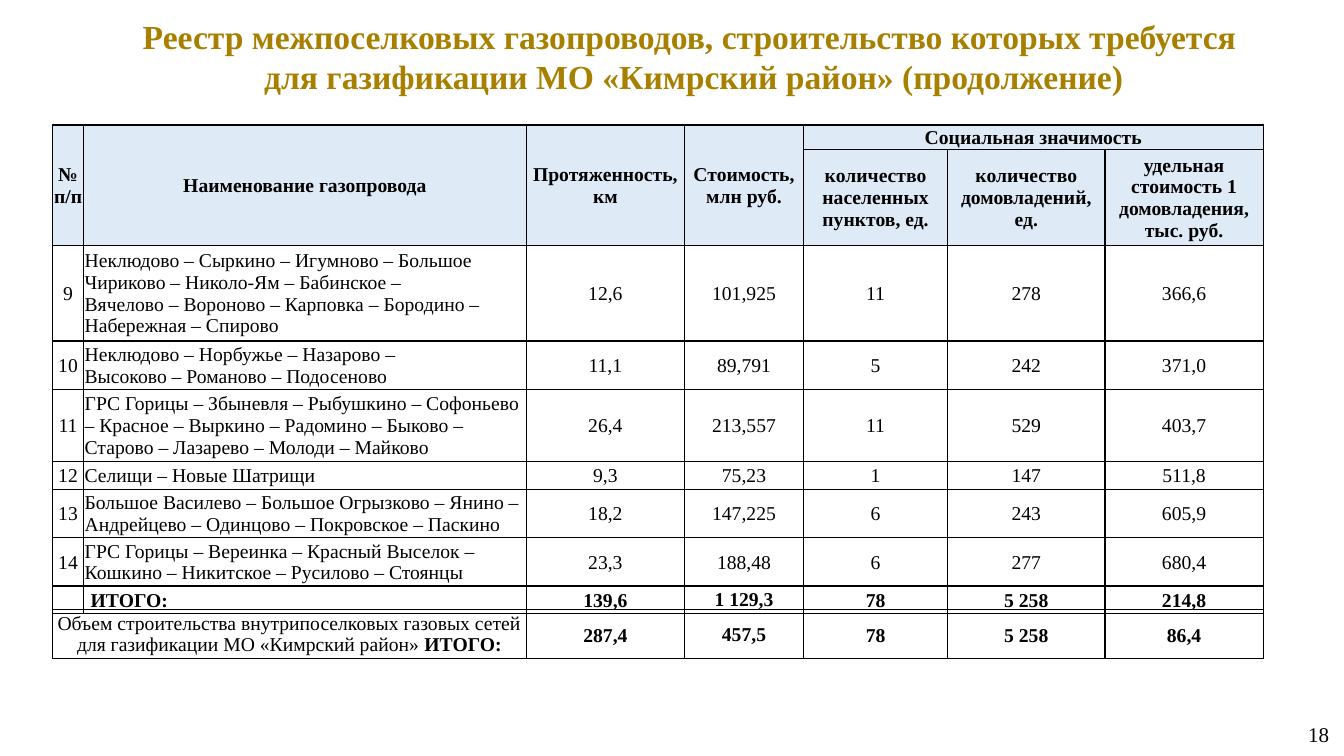
from lxml.etree import SubElement
from pptx import Presentation
from pptx.dml.color import RGBColor
from pptx.enum.text import MSO_ANCHOR, PP_ALIGN
from pptx.oxml.ns import qn
from pptx.util import Inches, Pt

FONT = "Times New Roman"
BLACK, GOLD, HEADER_BLUE = "000000", "A88000", "DEEBF7"
LEFT = 0.52
COLS = [0.31, 4.39, 1.57, 1.18, 1.43, 1.56, 1.57]
ROWS = [0.24, 0.95, 0.95, 0.48, 0.71, 0.28, 0.48, 0.48, 0.25]

HEADERS = [
    ["№\vп/п", "Наименование газопровода", "Протяженность, км",
     "Стоимость, млн руб.", "Социальная значимость", "", ""],
    ["", "", "", "", "количество населенных пунктов, ед.",
     "количество\nдомовладений, ед.",
     "удельная стоимость 1 домовладения, тыс. руб."],
]
PIPELINES = [
    ["9", "Неклюдово – Сыркино – Игумново – Большое Чириково – Николо-Ям – Бабинское –\v"
     "Вячелово – Вороново – Карповка – Бородино – Набережная – Спирово",
     "12,6", "101,925", "11", "278", "366,6"],
    ["10", "Неклюдово – Норбужье – Назарово –\vВысоково – Романово – Подосеново",
     "11,1", "89,791", "5", "242", "371,0"],
    ["11", "ГРС Горицы – Збыневля – Рыбушкино – Софоньево – Красное – Выркино – "
     "Радомино – Быково – Старово – Лазарево – Молоди – Майково",
     "26,4", "213,557", "11", "529", "403,7"],
    ["12", "Селищи – Новые Шатрищи", "9,3", "75,23", "1", "147", "511,8"],
    ["13", "Большое Василево – Большое Огрызково – Янино –"
     "Андрейцево – Одинцово – Покровское – Паскино",
     "18,2", "147,225", "6", "243", "605,9"],
    ["14", "ГРС Горицы – Вереинка – Красный Выселок – "
     "Кошкино – Никитское – Русилово – Стоянцы",
     "23,3", "188,48", "6", "277", "680,4"],
]
TOTAL = ["", "ИТОГО:", "139,6", "1 129,3", "78", "5 258", "214,8"]
NETWORK_LABEL = ("Объем строительства внутрипоселковых газовых сетей "
                 "для газификации МО «Кимрский район» ")
NETWORK_TOTAL = ["287,4", "457,5", "78", "5 258", "86,4"]


def rgb(color):
    return RGBColor.from_string(color)


def style_runs(p, size, color=BLACK, bold=False):
    for r in p.runs:
        r.font.name, r.font.size, r.font.bold = FONT, Pt(size), bold
        r.font.color.rgb = rgb(color)


def add_text(s, x, y, w, h, text, size, color, align, anchor, bold=False):
    tf = s.shapes.add_textbox(Inches(x), Inches(y), Inches(w), Inches(h)).text_frame
    tf.word_wrap = True
    tf.vertical_anchor = anchor
    tf.text = text
    for p in tf.paragraphs:
        p.alignment = align
        style_runs(p, size, color, bold)


def set_borders(cell):
    tcPr = cell._tc.get_or_add_tcPr()
    for i, side in enumerate(("a:lnL", "a:lnR", "a:lnT", "a:lnB")):
        ln = tcPr.makeelement(qn(side), {"w": str(Pt(1))})
        fill = SubElement(ln, qn("a:solidFill"))
        SubElement(fill, qn("a:srgbClr"), val=BLACK)
        tcPr.insert(i, ln)


def fill_cell(cell, text, align=PP_ALIGN.CENTER, bold=False, fill=None, loose=False):
    """Write one table cell; loose cells have wider sides and line spacing."""
    cell.text = text
    cell.vertical_anchor = MSO_ANCHOR.MIDDLE
    cell.margin_left = cell.margin_right = Inches(0.07 if loose else 0.01)
    cell.margin_top = Inches(0 if loose else 0.01)
    cell.margin_bottom = 0
    if fill:
        cell.fill.solid()
        cell.fill.fore_color.rgb = rgb(fill)
    else:
        cell.fill.background()
    for p in cell.text_frame.paragraphs:
        p.alignment = align
        if loose:
            p.line_spacing = 1.15
        style_runs(p, 14, bold=bold)
        if not text:
            SubElement(p._p, qn("a:endParaRPr"), sz="1400")
    set_borders(cell)


def add_grid(s, x, y, cols, rows):
    table = s.shapes.add_table(len(rows), len(cols), Inches(x), Inches(y),
                               Inches(sum(cols)), Inches(sum(rows))).table
    table.first_row = table.horz_banding = False
    for column, width in zip(table.columns, cols):
        column.width = Inches(width)
    for row, height in zip(table.rows, rows):
        row.height = Inches(height)
    return table


def fill_totals(table, row, first_col, values):
    """Write bold totals; the cost column keeps tight spacing."""
    for i, value in enumerate(values):
        fill_cell(table.cell(row, first_col + i), value, bold=True, loose=i != 1)


def add_registry(s, x, y):
    table = add_grid(s, x, y, COLS, ROWS)
    for i, row in enumerate(HEADERS):
        for j, text in enumerate(row):
            fill_cell(table.cell(i, j), text, bold=True, fill=HEADER_BLUE)
    for j in range(4):
        table.cell(0, j).merge(table.cell(1, j))
    table.cell(0, 4).merge(table.cell(0, 6))
    for i, row in enumerate(PIPELINES, len(HEADERS)):
        for j, text in enumerate(row):
            fill_cell(table.cell(i, j), text, PP_ALIGN.LEFT if j == 1 else PP_ALIGN.CENTER)
    last = len(ROWS) - 1
    fill_cell(table.cell(last, 0), TOTAL[0])
    fill_cell(table.cell(last, 1), TOTAL[1], PP_ALIGN.LEFT, bold=True, loose=True)
    fill_totals(table, last, 2, TOTAL[2:])


def add_network_total(s, x, y):
    table = add_grid(s, x, y, [sum(COLS[:2])] + COLS[2:], [0.48])
    label = table.cell(0, 0)
    fill_cell(label, NETWORK_LABEL)
    p = label.text_frame.paragraphs[0]
    p.add_run().text = "ИТОГО:"
    style_runs(p, 14)
    p.runs[-1].font.bold = True
    fill_totals(table, 0, 1, NETWORK_TOTAL)


def main():
    prs = Presentation()
    prs.slide_width, prs.slide_height = Inches(13.33), Inches(7.5)
    s = prs.slides.add_slide(prs.slide_layouts[6])
    add_text(s, 1, 0.11, 11.76, 0.91,
             "Реестр межпоселковых газопроводов, строительство которых требуется \n"
             "для газификации МО «Кимрский район» (продолжение)",
             24, GOLD, PP_ALIGN.CENTER, MSO_ANCHOR.TOP, bold=True)
    add_registry(s, LEFT, 1.24)
    add_network_total(s, LEFT, 6.05)
    add_text(s, 10.57, 6.98, 2.71, 0.61, "18", 15, BLACK, PP_ALIGN.RIGHT, MSO_ANCHOR.MIDDLE)
    prs.save("out.pptx")


if __name__ == "__main__":
    main()
